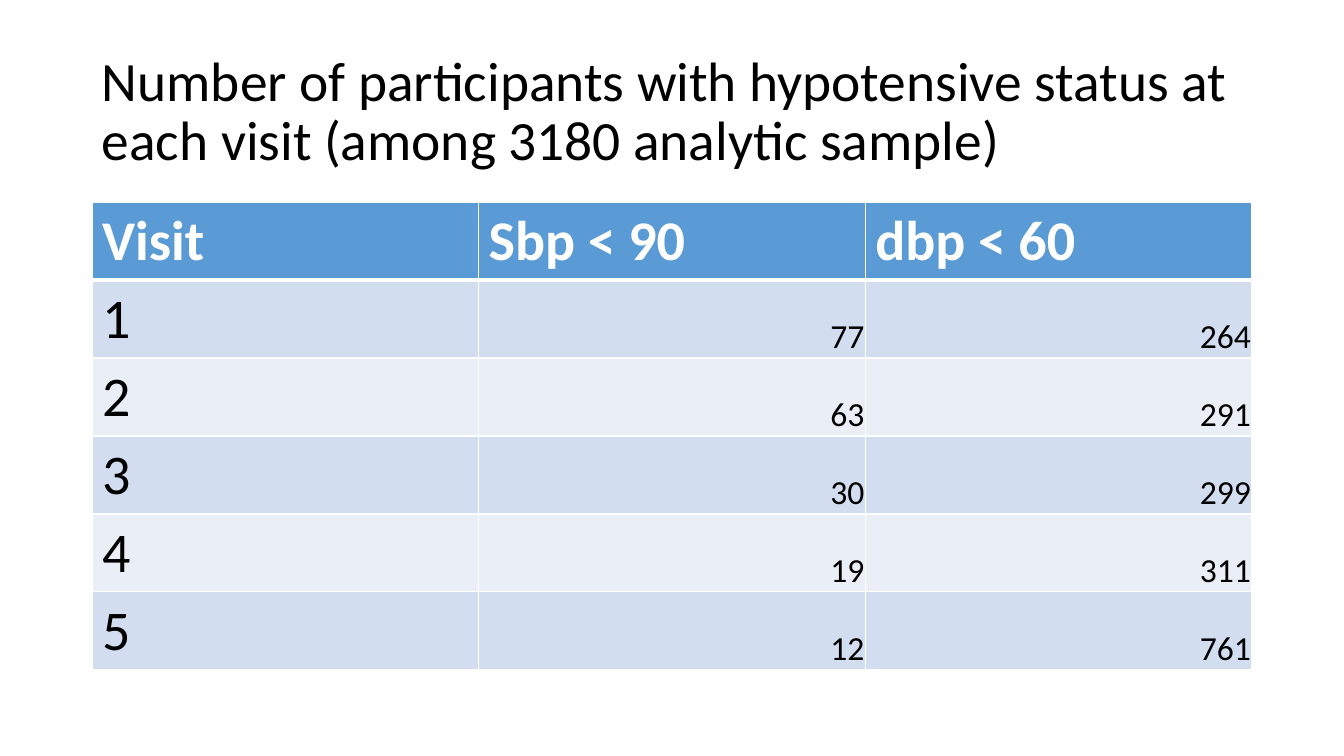
import lxml.etree
import pptx
import pptx.dml.color
import pptx.enum.text
import pptx.oxml.ns
import pptx.util

RGBColor = pptx.dml.color.RGBColor
BLACK = RGBColor(0x00, 0x00, 0x00)
WHITE = RGBColor(0xFF, 0xFF, 0xFF)
HEADER_BLUE = RGBColor(0x5B, 0x9B, 0xD5)
BAND_DARK = RGBColor(0xD2, 0xDE, 0xEF)
BAND_LIGHT = RGBColor(0xEA, 0xEF, 0xF7)

ANCHOR = pptx.enum.text.MSO_ANCHOR
FONT = "Calibri"
PAGE_WIDTH, PAGE_HEIGHT = 1344, 756
TITLE_BOX = (92, 40, 1160, 146)
TABLE_BOX = (92, 202, 1160, 468)

TITLE = ("Number of participants with hypotensive status at each visit "
         "(among 3180 analytic sample)")
VISITS = [
    ("Visit", "Sbp < 90", "dbp < 60"),
    ("1", "77", "264"),
    ("2", "63", "291"),
    ("3", "30", "299"),
    ("4", "19", "311"),
    ("5", "12", "761"),
]


def px(length):
    return pptx.util.Emu(round(length * 914400 / 100.8))


def set_font(para, size, color, bold=False):
    font = para.font
    font.name, font.size, font.bold = FONT, pptx.util.Pt(size), bold
    font.color.rgb = color


def set_borders(cell, widths):
    """Draw white cell borders; widths maps a side (L, R, T, B) to points."""
    properties = cell._tc.get_or_add_tcPr()
    qn = pptx.oxml.ns.qn
    for side, width in widths.items():
        line = lxml.etree.SubElement(properties, qn(f"a:ln{side}"),
                                     w=str(pptx.util.Pt(width)))
        fill = lxml.etree.SubElement(line, qn("a:solidFill"))
        lxml.etree.SubElement(fill, qn("a:srgbClr"), val=str(WHITE))


def add_title(page, box):
    frame = page.shapes.add_textbox(*map(px, box)).text_frame
    frame.word_wrap = True
    frame.vertical_anchor = ANCHOR.MIDDLE
    para = frame.paragraphs[0]
    para.text = TITLE
    para.line_spacing = 0.9
    set_font(para, 39.6, BLACK)


def style_cell(cell, row, column):
    header = row == 0
    para = cell.text_frame.paragraphs[0]
    set_borders(cell, {"L": 1, "R": 1, "T": 3 if row == 1 else 1,
                       "B": 3 if header else 1})
    cell.fill.solid()
    if header:
        cell.fill.fore_color.rgb = HEADER_BLUE
        set_font(para, 40, WHITE, bold=True)
        return
    cell.fill.fore_color.rgb = BAND_DARK if row % 2 else BAND_LIGHT
    set_font(para, 24 if column else 40, BLACK)
    # Counts sit in the lower right corner
    if column:
        para.alignment = pptx.enum.text.PP_ALIGN.RIGHT
        cell.vertical_anchor = ANCHOR.BOTTOM
        cell.margin_left = cell.margin_right = cell.margin_top = px(1)
        cell.margin_bottom = 0


def add_visit_table(page, box):
    left, top, width, height = map(px, box)
    row_count, column_count = len(VISITS), len(VISITS[0])
    table = page.shapes.add_table(row_count, column_count,
                                  left, top, width, height).table
    for row, values in enumerate(VISITS):
        for column, value in enumerate(values):
            cell = table.cell(row, column)
            cell.text = value
            style_cell(cell, row, column)


def main():
    deck = pptx.Presentation()
    deck.slide_width, deck.slide_height = px(PAGE_WIDTH), px(PAGE_HEIGHT)
    page = deck.slides.add_slide(deck.slide_layouts[6])
    add_title(page, TITLE_BOX)
    add_visit_table(page, TABLE_BOX)
    deck.save("out.pptx")


if __name__ == "__main__":
    main()
